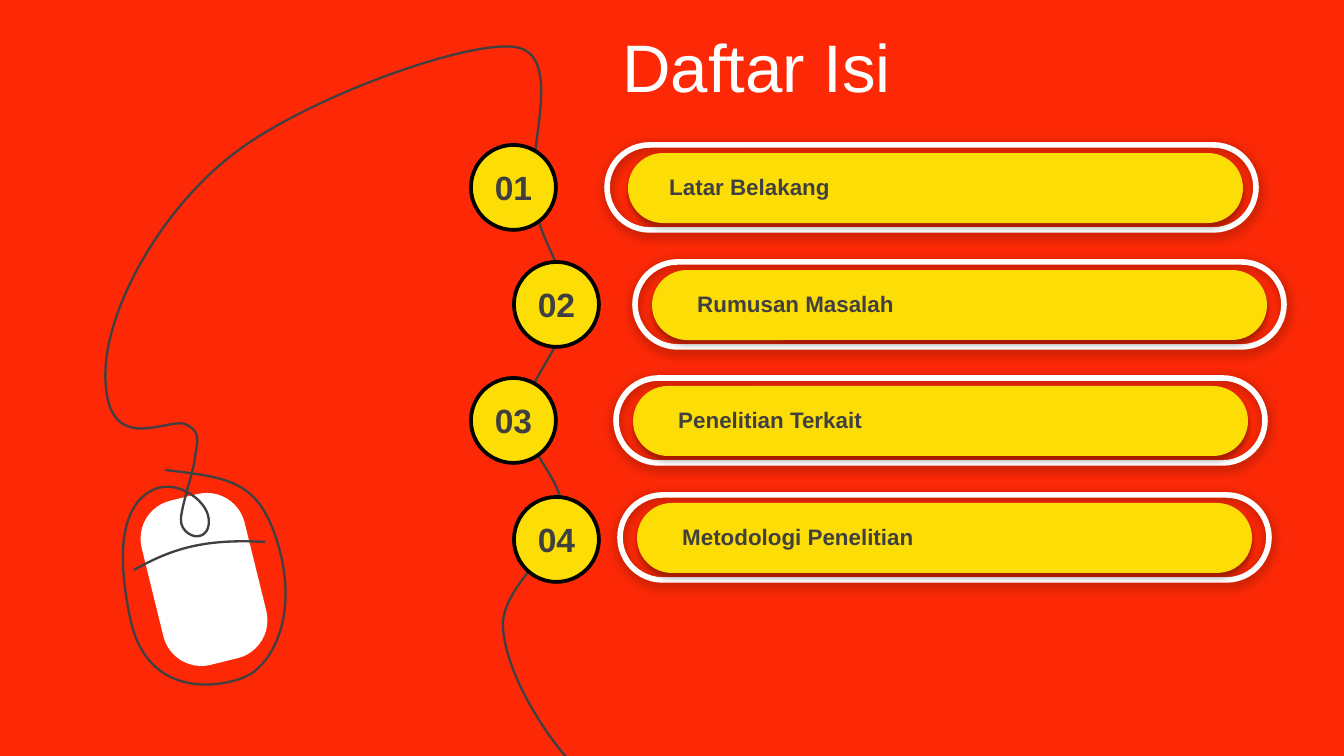
"""Build the "Daftar Isi" contents slide: a mouse whose cable links four numbered topics."""
from dataclasses import dataclass

from lxml import etree
from pptx import Presentation
from pptx import util as u
from pptx.dml.color import RGBColor
from pptx.enum import shapes, text
from pptx.oxml import ns

SCALE = 914400 / 134.4
NUMBER_SIDE = 85
RING_SIZE = (649, 85)
PILL_SIZE = (615, 70)


@dataclass(frozen=True)
class Theme:
    """Colours, font and type sizes of the slide."""
    red: str = "FD2906"
    yellow: str = "FDDD06"
    white: str = "FFFFFF"
    black: str = "000000"
    grey: str = "404040"
    font: str = "Arial"
    title: int = 36
    number: int = 18
    label: int = 12


@dataclass(frozen=True)
class Topic:
    """Wording and placement of one contents row."""
    name: str
    label_width: int
    number_at: tuple
    ring_at: tuple
    pill_inset: int


THEME = Theme()

TOPICS = [
    Topic("Latar Belakang", 190, (471, 145), (607, 145), 21),
    Topic("Rumusan Masalah", 226, (514, 262), (635, 262), 17),
    Topic("Penelitian Terkait", 219, (471, 378), (616, 378), 17),
    Topic("Metodologi Penelitian", 262, (514, 497), (620, 495), 17),
]

BUTTON_SEAM = [(134, 570), (175, 547), (207, 539), (265, 542)]

CABLE = [
    (165, 470),
    (233, 478), (261, 481), (280, 551),
    (298, 622), (269, 667), (245, 677),
    (219, 688), (146, 699), (130, 617),
    (113, 535), (129, 500), (155, 489),
    (179, 480), (204, 500), (208, 515),
    (212, 530), (203, 536), (199, 536),
    (194, 538), (181, 532), (181, 520),
    (181, 507), (194, 470), (195, 458),
    (196, 445), (203, 433), (187, 425),
    (172, 415), (112, 457), (106, 387),
    (99, 319), (157, 216), (226, 160),
    (293, 103), (464, 40), (515, 47),
    (567, 54), (524, 159), (534, 203),
    (542, 246), (569, 274), (567, 309),
    (566, 344), (526, 382), (524, 415),
    (523, 450), (566, 480), (562, 515),
    (559, 550), (503, 585), (503, 625),
    (504, 665), (536, 722), (567, 758),
]


def px(*lengths):
    """Turn lengths in px into EMU."""
    return [u.Emu(round(length * SCALE)) for length in lengths]


def rgb(colour):
    """Turn a hex string into a colour."""
    return RGBColor.from_string(colour)


def style(shape, fill=None, line=None, weight=0):
    """Give a shape its fill and line and take away its shadow."""
    shape.shadow.inherit = False
    if fill:
        shape.fill.solid()
        shape.fill.fore_color.rgb = rgb(fill)
    else:
        shape.fill.background()
    if line:
        shape.line.color.rgb = rgb(line)
        shape.line.width = u.Pt(weight)
    else:
        shape.line.fill.background()


def add_shadow(shape, alpha, blur, distance):
    """Cast a soft black shadow straight down."""
    effects = shape.element.spPr.find(ns.qn("a:effectLst"))
    shadow = etree.SubElement(
        effects, ns.qn("a:outerShdw"), blurRad=str(u.Pt(blur)),
        dist=str(u.Pt(distance)), dir="5400000", algn="t", rotWithShape="0")
    colour = etree.SubElement(shadow, ns.qn("a:srgbClr"), val=THEME.black)
    etree.SubElement(colour, ns.qn("a:alpha"), val=str(alpha * 1000))


def add_rounded(parent, left, top, width, height, radius=0.5, **look):
    """Add a rounded rectangle."""
    shape = parent.shapes.add_shape(
        shapes.MSO_SHAPE.ROUNDED_RECTANGLE, *px(left, top, width, height))
    shape.adjustments[0] = radius
    style(shape, **look)
    return shape


def add_text(parent, wording, left, top, width, height, size, colour,
             bold=False, wrap=True, anchor=text.MSO_ANCHOR.MIDDLE,
             align=text.PP_ALIGN.LEFT):
    """Add a one-paragraph text box."""
    box = parent.shapes.add_textbox(*px(left, top, width, height))
    frame = box.text_frame
    frame.word_wrap = wrap
    frame.vertical_anchor = anchor
    para = frame.paragraphs[0]
    para.text = wording
    para.alignment = align
    para.font.name = THEME.font
    para.font.size = u.Pt(size)
    para.font.bold = bold
    para.font.color.rgb = rgb(colour)


def add_curve(page, points):
    """Draw a chain of cubic curves through a start point and point triples."""
    builder = page.shapes.build_freeform(*points[0], scale=SCALE)
    builder.add_line_segments(points[1:], close=False)
    shape = builder.convert_to_shape()
    style(shape, line=THEME.grey, weight=1.25)
    segments = shape.element.findall(".//" + ns.qn("a:lnTo"))
    for first in range(0, len(segments), 3):
        curve = etree.Element(ns.qn("a:cubicBezTo"))
        segments[first].addprevious(curve)
        for segment in segments[first:first + 3]:
            curve.append(segment[0])
            segment.getparent().remove(segment)


def add_mouse(page):
    """Draw the mouse body, its button seam and the cable."""
    body = add_rounded(page, 151, 495, 106, 169, 0.368, fill=THEME.white)
    body.rotation = 346.2
    add_curve(page, BUTTON_SEAM)
    add_curve(page, CABLE)


def add_number(page, number, left, top):
    """Add a numbered disc on the cable."""
    disc = page.shapes.add_shape(
        shapes.MSO_SHAPE.OVAL, *px(left, top, NUMBER_SIDE, NUMBER_SIDE))
    style(disc, fill=THEME.yellow, line=THEME.black, weight=2)
    add_text(page, f"{number:02d}", left + 7, top + 15, 71, 54, THEME.number,
             THEME.grey, bold=True, align=text.PP_ALIGN.CENTER)


def add_topic(page, topic):
    """Add a white ring around a yellow pill with the topic's name."""
    left, top = topic.ring_at
    group = page.shapes.add_group_shape()
    ring = add_rounded(group, left, top, *RING_SIZE, line=THEME.white, weight=3)
    add_shadow(ring, 38, 6, 1.6)
    pill = add_rounded(group, left + topic.pill_inset, top + 8, *PILL_SIZE,
                       fill=THEME.yellow)
    add_shadow(pill, 35, 3.1, 1.8)
    add_text(group, topic.name, left + 49, top + 22, topic.label_width, 40,
             THEME.label, THEME.grey, bold=True, wrap=False,
             anchor=text.MSO_ANCHOR.TOP)


def main():
    """Build and save the deck."""
    deck = Presentation()
    deck.slide_width, deck.slide_height = px(1344, 756)
    page = deck.slides.add_slide(deck.slide_layouts[6])
    page.background.fill.solid()
    page.background.fill.fore_color.rgb = rgb(THEME.red)
    add_mouse(page)
    add_text(page, "Daftar Isi", 609, 23, 735, 85, THEME.title, THEME.white)
    for number, topic in enumerate(TOPICS, 1):
        add_number(page, number, *topic.number_at)
        add_topic(page, topic)
    deck.save("out.pptx")


if __name__ == "__main__":
    main()
